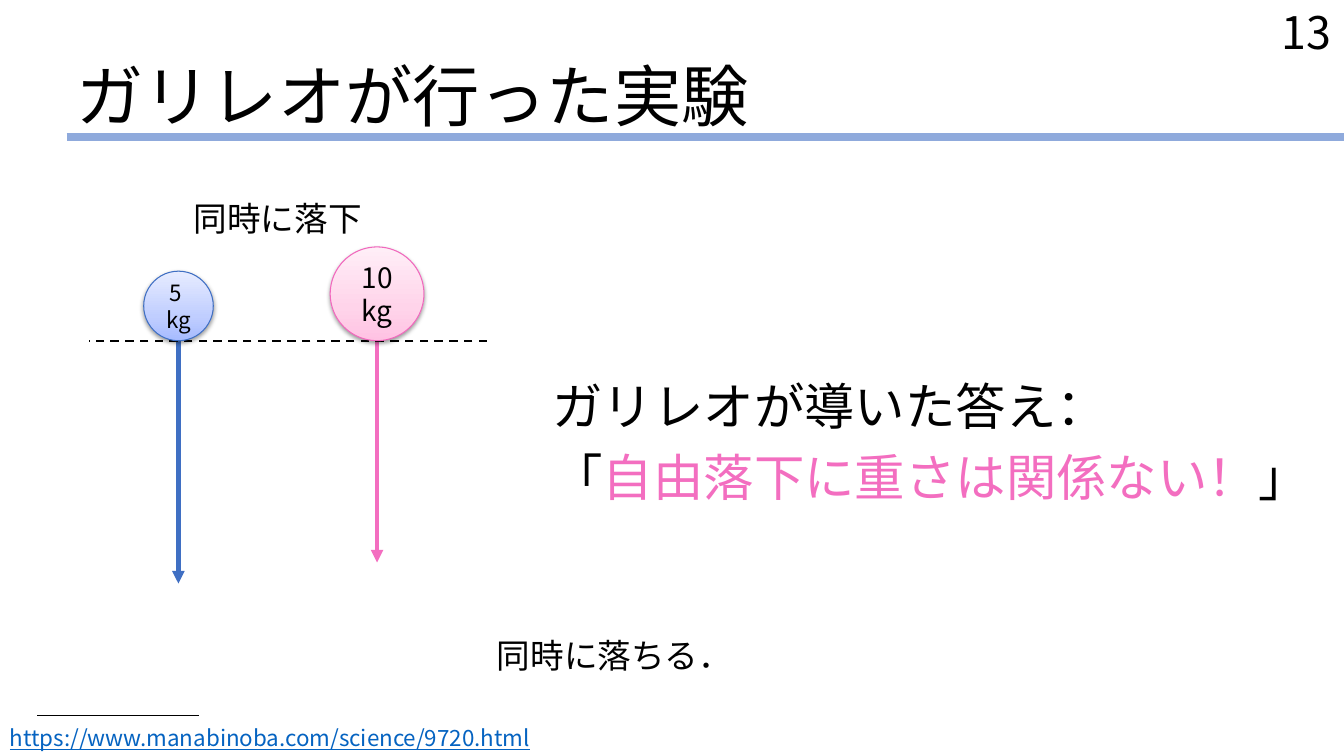
from lxml import etree
from pptx import Presentation
from pptx import util as u
from pptx.dml.color import RGBColor
from pptx.enum import dml, shapes, text
from pptx.oxml import parse_xml
from pptx.oxml.ns import qn

NS = 'xmlns:a="http://schemas.openxmlformats.org/drawingml/2006/main"'
KR, JP, SERIF = "Noto Sans CJK KR", "Noto Sans CJK JP", "TeX Gyre Schola"
BLACK, BLUE, PINK = "000000", "3F6FC3", "F36EC0"
LEFT, CENTER, RIGHT = text.PP_ALIGN.LEFT, text.PP_ALIGN.CENTER, text.PP_ALIGN.RIGHT
TOP, MIDDLE, BOTTOM = text.MSO_ANCHOR.TOP, text.MSO_ANCHOR.MIDDLE, text.MSO_ANCHOR.BOTTOM


def rgb(value):
    return RGBColor.from_string(value)


def set_font(font, size, color=BLACK, name=KR):
    font.size, font.name = u.Pt(size), name
    font.color.rgb = rgb(color)


def add_text(s, box, lines, size, align=LEFT, anchor=TOP, color=BLACK, name=KR):
    sp = s.shapes.add_textbox(*map(u.Inches, box))
    fill_text(sp.text_frame, lines, size, align, anchor, color, name)
    return sp.text_frame


def fill_text(tf, lines, size, align, anchor, color=BLACK, name=KR):
    tf.word_wrap = True
    tf.vertical_anchor = anchor
    tf.text = "\n".join(lines)
    for p in tf.paragraphs:
        p.alignment = align
        set_font(p.font, size, color, name)


def add_line(s, start, end, color, width, dashed=False, arrow=False):
    ends = map(u.Inches, (*start, *end))
    line = s.shapes.add_connector(shapes.MSO_CONNECTOR.STRAIGHT, *ends)
    line.line.color.rgb = rgb(color)
    line.line.width = u.Pt(width)
    if dashed:
        line.line.dash_style = dml.MSO_LINE.DASH
    if arrow:
        etree.SubElement(line.line._get_or_add_ln(), qn("a:tailEnd"), type="triangle")
    etree.SubElement(line._element.spPr, qn("a:effectLst"))


def add_ball(s, center_x, bottom, size, lines, font_size, outline, shades):
    box = (center_x - size / 2, bottom - size, size, size)
    sp = s.shapes.add_shape(shapes.MSO_SHAPE.OVAL, *map(u.Inches, box))
    sp.line.color.rgb = rgb(outline)
    sp.line.width = u.Pt(0.75)
    # Three-stop gradient, darkest at the bottom
    sp.fill.gradient()
    sp.fill.gradient_angle = 90
    stops = sp._element.spPr.find(".//" + qn("a:gsLst"))
    stops.clear()
    for position, shade in zip((0, 35, 100), shades):
        stop = etree.SubElement(stops, qn("a:gs"), pos=str(position * 1000))
        etree.SubElement(stop, qn("a:srgbClr"), val=shade)
    # Soft shadow below
    sp._element.spPr.append(parse_xml(
        f'<a:effectLst {NS}><a:outerShdw blurRad="40000" dist="20000" dir="5400000" '
        'rotWithShape="0"><a:srgbClr val="000000"><a:alpha val="38000"/></a:srgbClr>'
        '</a:outerShdw></a:effectLst>'))
    fill_text(sp.text_frame, lines, font_size, CENTER, MIDDLE)


def add_answer(s):
    tf = add_text(s, (5.38, 3.68, 7.71, 1.39), ["ガリレオが導いた答え：", ""], 36, anchor=MIDDLE)
    p = tf.paragraphs[1]
    p.space_before = u.Pt(7.2)
    for words, color, name in (("「", BLACK, KR), ("自由落下に重さは関係ない", PINK, SERIF),
                               ("！", PINK, KR), ("」", BLACK, KR)):
        r = p.add_run()
        r.text = words
        set_font(r.font, 36, color, name)


def main():
    prs = Presentation()
    prs.slide_width, prs.slide_height = u.Inches(13.33), u.Inches(7.5)
    s = prs.slides.add_slide(prs.slide_layouts[6])

    # Heading, page number and source
    add_line(s, (0.66, 1.36), (13.33, 1.36), "8FAADC", 6)
    add_text(s, (0.66, 0.5, 12.67, 0.89), ["ガリレオが行った実験"], 48, anchor=BOTTOM)
    add_text(s, (11.9, 0, 1.4, 0.66), ["13"], 32, RIGHT)
    add_line(s, (1.97, 7.1), (0.37, 7.1), BLACK, 1)
    tf = add_text(s, (0, 7.1, 11.57, 0.4), ["https://www.manabinoba.com/science/9720.html"],
                  16, anchor=BOTTOM, color="0563C1", name=JP)
    tf.paragraphs[0].font.underline = True

    # Falling balls
    light_x, heavy_x, ground = 1.77, 3.74, 3.38
    add_line(s, (heavy_x, ground), (heavy_x, 5.58), PINK, 3, arrow=True)
    add_line(s, (light_x, ground), (light_x, 5.79), BLUE, 3, arrow=True)
    add_line(s, (4.83, ground), (0.88, ground), BLACK, 1.5, dashed=True)
    add_ball(s, light_x, ground, 0.69, ["5 ", "kg"], 16, BLUE, ("A6BBFF", "C0CEFF", "E7ECFF"))
    add_ball(s, heavy_x, ground, 0.93, ["10", "kg"], 20, "F168BD", ("FFC2E3", "FFD4EA", "FFEEF7"))
    add_text(s, (light_x, 1.91, heavy_x - light_x, 0.5), ["同時に落下"], 24, CENTER)

    # Conclusion
    add_answer(s)
    add_text(s, (4.83, 6.25, 4.43, 0.5), ["同時に落ちる．"], 24)

    prs.save("out.pptx")


if __name__ == "__main__":
    main()
